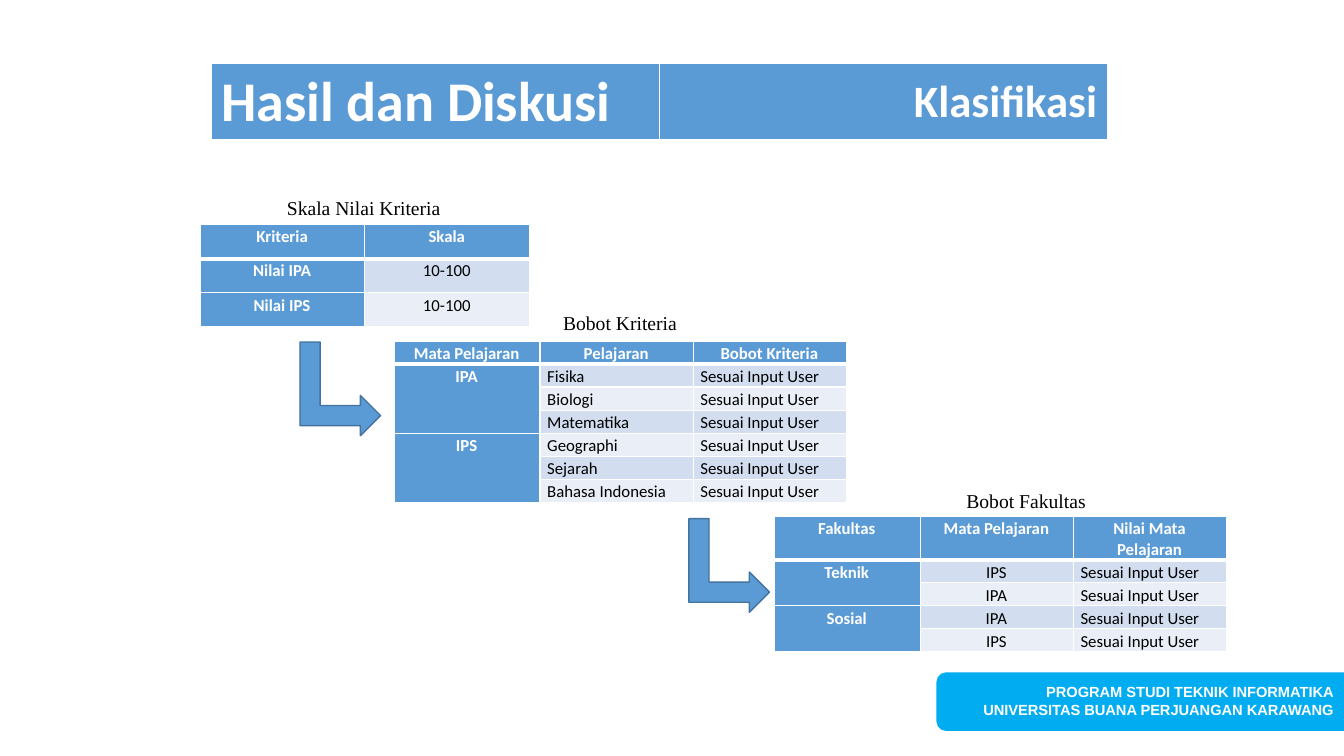
from lxml import etree
from pptx import Presentation
from pptx.dml.color import RGBColor
from pptx.enum.shapes import MSO_SHAPE
from pptx.enum.text import MSO_ANCHOR, MSO_AUTO_SIZE, PP_ALIGN
from pptx.oxml.ns import qn
from pptx.util import Cm, Pt

ALIGN = {"l": PP_ALIGN.LEFT, "c": PP_ALIGN.CENTER, "r": PP_ALIGN.RIGHT}
MIDDLE, TOP = MSO_ANCHOR.MIDDLE, MSO_ANCHOR.TOP
FIT_TEXT = MSO_AUTO_SIZE.SHAPE_TO_FIT_TEXT
BENT_ARROW = MSO_SHAPE.BENT_UP_ARROW
TAB_SHAPE = MSO_SHAPE.ROUND_2_SAME_RECTANGLE

BLUE, EDGE, CYAN = "5B9BD5", "43739E", "01ACF0"
BANDS = ["D2DEEF", "EAEFF7"]
WHITE, BLACK = "FFFFFF", "000000"

CELL_FORMAT = {"margin_left": Cm(0.18), "margin_right": Cm(0.2), "margin_top": Cm(0.02),
               "margin_bottom": 0, "vertical_anchor": TOP}
TITLE_FORMAT = {"vertical_anchor": MIDDLE}
CAPTION_FONT = {"name": "Times New Roman", "size": Pt(14)}
FOOTER_FONT = {"name": "Arial", "size": Pt(10.5), "bold": True}
USER_INPUT = "Sesuai Input User"


def rgb(value):
    return RGBColor.from_string(value)


def apply_format(target, values):
    for name, value in values.items():
        setattr(target, name, value)


def write(paragraph, text, align, color, font, spacing=1.0):
    paragraph.alignment = ALIGN[align]
    paragraph.line_spacing = spacing
    run = paragraph.add_run()
    run.text = text
    apply_format(run.font, font)
    run.font.color.rgb = rgb(color)


def set_borders(cell, widths):
    """White borders; widths in points for left, right, top and bottom."""
    properties = cell._tc.get_or_add_tcPr()
    for index, (side, width) in enumerate(zip("LRTB", widths)):
        line = etree.Element(qn(f"a:ln{side}"), w=str(Pt(width)))
        fill = etree.SubElement(line, qn("a:solidFill"))
        etree.SubElement(fill, qn("a:srgbClr"), val=WHITE)
        properties.insert(index, line)


def add_grid(slide, left, top, widths, heights, rows, aligns, header_aligns,
             sizes, cell_format=CELL_FORMAT, spacing=1.07):
    """Table with blue header row and first column; None continues the cell above."""
    table = slide.shapes.add_table(len(rows), len(widths), Cm(left), Cm(top),
                                   Cm(sum(widths)), Cm(sum(heights))).table
    apply_format(table, {"first_row": False, "horz_banding": False})
    for column, width in zip(table.columns, widths):
        column.width = Cm(width)
    for row, height in zip(table.rows, heights):
        row.height = Cm(height)

    for r, values in enumerate(rows):
        for c, text in enumerate(values):
            cell = table.cell(r, c)
            heading = r == 0 or c == 0
            apply_format(cell, cell_format)
            cell.fill.solid()
            cell.fill.fore_color.rgb = rgb(BLUE if heading else BANDS[(r - 1) % 2])
            set_borders(cell, [1, 1, 3 if r == 1 else 1, 3 if r == 0 else 1])
            if text is not None:
                font = {"name": "Calibri", "size": Pt(sizes[c]), "bold": heading}
                write(cell.text_frame.paragraphs[0], text,
                      (aligns if r else header_aligns)[c],
                      WHITE if heading else BLACK, font, spacing)

    # Join each group heading with the empty cells below it
    starts = [r for r, values in enumerate(rows) if values[0] is not None]
    for start, end in zip(starts, starts[1:] + [len(rows)]):
        if end - start > 1:
            table.cell(start, 0).merge(table.cell(end - 1, 0))


def add_turned(slide, kind, left, top, width, height, rotation, fill, edge=None):
    """Shape turned by a quarter so that it covers the given box."""
    shift = (width - height) / 2
    shape = slide.shapes.add_shape(kind, Cm(left + shift), Cm(top - shift),
                                   Cm(height), Cm(width))
    shape.rotation = rotation
    shape.shadow.inherit = False
    shape.fill.solid()
    shape.fill.fore_color.rgb = rgb(fill)
    if edge:
        shape.line.color.rgb = rgb(edge)
        shape.line.width = Pt(1)
    else:
        shape.line.fill.background()


def add_text(slide, left, top, width, height, lines, align, color, font,
             spacing=1.0, frame_format=None):
    frame = slide.shapes.add_textbox(Cm(left), Cm(top), Cm(width), Cm(height)).text_frame
    apply_format(frame, {"word_wrap": True, "auto_size": FIT_TEXT, **(frame_format or {})})
    for index, text in enumerate(lines):
        paragraph = frame.add_paragraph() if index else frame.paragraphs[0]
        write(paragraph, text, align, color, font, spacing)


def add_footer(slide, left, top, width, height):
    add_turned(slide, TAB_SHAPE, left, top, width, height, 270, CYAN)
    add_text(slide, left - 0.38, top + 0.15, width + 0.38, 1.14,
             ["PROGRAM STUDI TEKNIK INFORMATIKA", "UNIVERSITAS BUANA PERJUANGAN KARAWANG"],
             "r", WHITE, FOOTER_FONT)


def add_title(slide, left, top, width, height):
    add_grid(slide, left, top, [width / 2] * 2, [height],
             [["Hasil dan Diskusi", "Klasifikasi"]], "lr", "lr", [40, 32],
             TITLE_FORMAT, 1.0)


def add_scale(slide, left, top):
    add_grid(slide, left, top, [4.14, 4.16], [0.86] * 3,
             [["Kriteria", "Skala"], ["Nilai IPA", "10-100"], ["Nilai IPS", "10-100"]],
             "cc", "cc", [12] * 2)
    add_text(slide, left + 1.93, top - 0.86, 4.42, 0.86, ["Skala Nilai Kriteria"],
             "l", BLACK, CAPTION_FONT, frame_format={"word_wrap": False})


def add_criteria(slide, left, top):
    subjects = [("IPA", "Fisika"), (None, "Biologi"), (None, "Matematika"),
                ("IPS", "Geographi"), (None, "Sejarah"), (None, "Bahasa Indonesia")]
    add_grid(slide, left, top, [3.68, 3.86, 3.86], [0.54] + [0.58] * 6,
             [["Mata Pelajaran", "Pelajaran", "Bobot Kriteria"]]
             + [[*subject, USER_INPUT] for subject in subjects],
             "cll", "ccc", [12] * 3)
    add_text(slide, left + 4.01, top - 0.89, 3.4, 0.86, ["Bobot Kriteria"],
             "l", BLACK, CAPTION_FONT, frame_format={"word_wrap": False})


def add_faculties(slide, left, top):
    faculties = [("Teknik", "IPS"), (None, "IPA"), ("Sosial", "IPA"), (None, "IPS")]
    add_grid(slide, left, top, [3.68, 3.86, 3.86], [1.1] + [0.58] * 4,
             [["Fakultas", "Mata Pelajaran", "Nilai Mata Pelajaran"]]
             + [[*faculty, USER_INPUT] for faculty in faculties],
             "ccl", "ccc", [12] * 3)
    add_text(slide, left + 3.2, top - 1.09, 5.03, 1.14, ["Bobot Fakultas"],
             "c", BLACK, CAPTION_FONT, 1.5, {"margin_left": Cm(1.52)})


def main():
    deck = Presentation()
    deck.slide_width, deck.slide_height = Cm(33.87), Cm(19.05)
    slide = deck.slides.add_slide(deck.slide_layouts[6])

    # Footer and title bar
    add_footer(slide, 23.6, 16.94, 10.27, 1.48)
    add_title(slide, 5.33, 1.6, 22.58, 1.9)

    # Three steps of the classification
    add_scale(slide, 5.05, 5.66)
    add_criteria(slide, 9.93, 8.61)
    add_faculties(slide, 19.51, 13)

    # Arrows between the steps
    for left, top in [(7.56, 8.62), (17.36, 13.07)]:
        add_turned(slide, BENT_ARROW, left, top, 2.03, 2.36, 90, BLUE, EDGE)

    deck.save("out.pptx")


if __name__ == "__main__":
    main()
